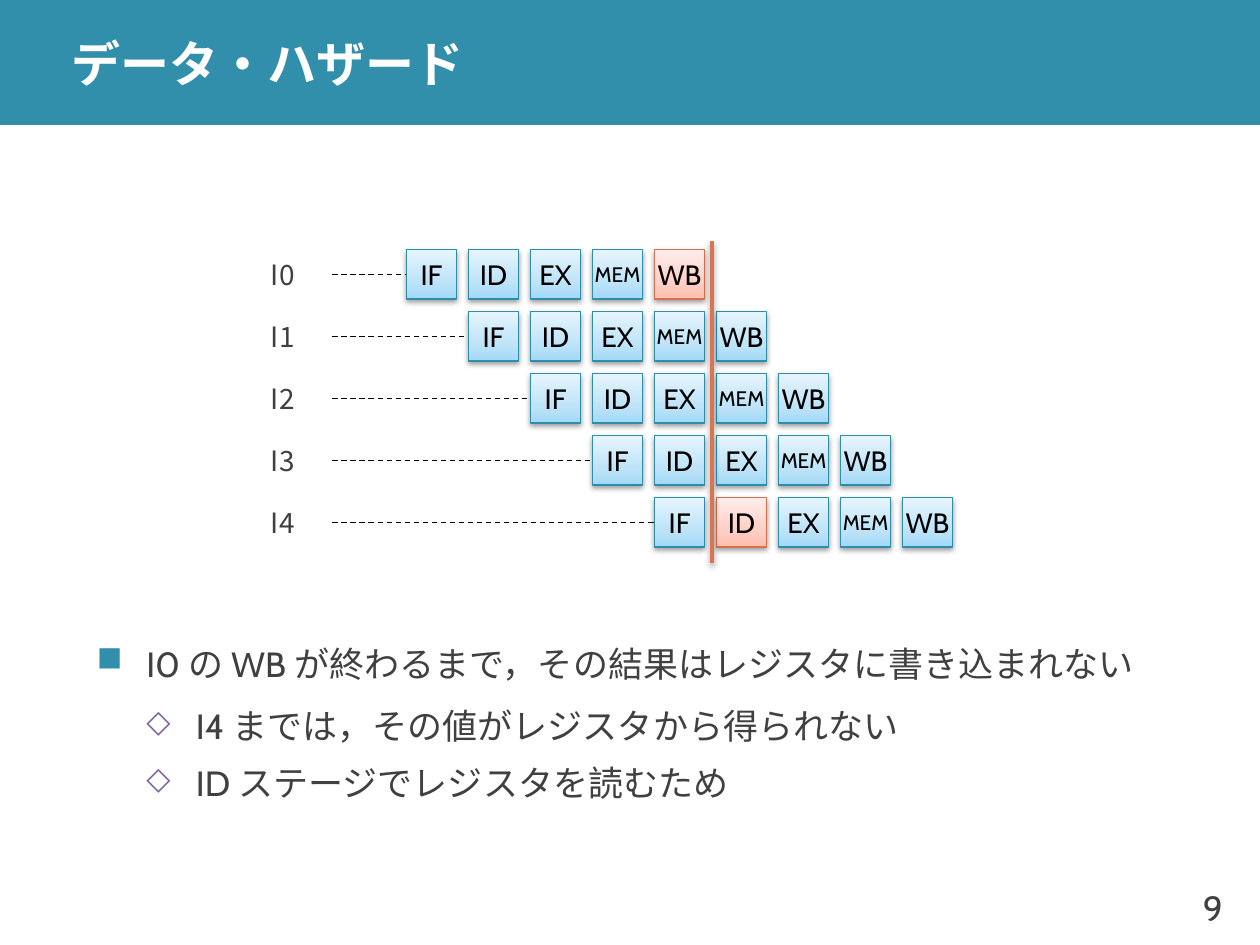
from lxml.etree import SubElement as Sub
from pptx import Presentation
from pptx.dml.color import RGBColor as RGB
from pptx.enum.dml import MSO_LINE as Dash
from pptx.enum.shapes import MSO_CONNECTOR as Link, MSO_SHAPE as Kind
from pptx.enum.text import MSO_ANCHOR as Anchor, PP_ALIGN as Align
from pptx.oxml.ns import qn
from pptx.util import Cm, Pt

TEAL = RGB(0x32, 0x8F, 0xAC)
WHITE = RGB(0xFF, 0xFF, 0xFF)
BLACK = RGB(0, 0, 0)
GREY = RGB(0x40, 0x40, 0x40)
PURPLE = RGB(0x80, 0x64, 0xA2)
RED = RGB(0xD8, 0x75, 0x52)
# Box styles: edge colour, then fill colours from bottom to top
BLUE_BOX = (RGB(0x2E, 0x8D, 0xAB), RGB(0xA2, 0xD9, 0xF7),
            RGB(0xBF, 0xE4, 0xF8), RGB(0xE6, 0xF5, 0xFD))
RED_BOX = (RGB(0xD7, 0x71, 0x4D), RGB(0xFF, 0xBE, 0xB0),
           RGB(0xFF, 0xD0, 0xC7), RGB(0xFF, 0xED, 0xEA))

LATIN, CJK = "Cabin", "Noto Sans CJK JP"
STAGES = ("IF", "ID", "EX", "MEM", "WB")
ROWS = 5
HAZARD = {(0, "WB"), (4, "ID")}
NOTES = (
    (0, "I0 の WB が終わるまで，その結果はレジスタに書き込まれない"),
    (1, "I4 までは，その値がレジスタから得られない"),
    (1, "ID ステージでレジスタを読むため"),
)
# Level formats: indent (cm), space before and after (pt), bullet, colour, size %
LEVELS = ((1, 24, 6, "■", TEAL, 100), (2, 3, 3, "◇", PURPLE, 90))


def write(para, text, size=20, font=LATIN, color=GREY, bold=False, align=None):
    """Add formatted text to a paragraph."""
    run = para.add_run()
    run.text = text
    run.font.size, run.font.bold, run.font.name = Pt(size), bold, font
    run.font.color.rgb = color
    Sub(run.font._element, qn("a:ea"), typeface=font)
    para.alignment = align


def set_frame(shape, wrap=False, pads=(0, 0)):
    """Centre the text vertically and set side and top/bottom margins."""
    frame = shape.text_frame
    frame.word_wrap, frame.vertical_anchor = wrap, Anchor.MIDDLE
    frame.margin_left = frame.margin_right = Cm(pads[0])
    frame.margin_top = frame.margin_bottom = Cm(pads[1])
    return frame


def add_text(slide, box, wrap=False, pads=(0, 0)):
    shape = slide.shapes.add_textbox(*map(Cm, box))
    return set_frame(shape, wrap, pads)


def set_shadow(shape, soft=True):
    """Give a soft shadow below, or none at all."""
    effects = Sub(shape._element.spPr, qn("a:effectLst"))
    if soft:
        outer = Sub(effects, qn("a:outerShdw"), blurRad="40000", dist="20000",
                    dir="5400000", rotWithShape="0")
        color = Sub(outer, qn("a:srgbClr"), val="000000")
        Sub(color, qn("a:alpha"), val="38000")


def add_line(slide, ends, color, width, dash=None, soft=False):
    line = slide.shapes.add_connector(Link.STRAIGHT, *map(Cm, ends))
    line.line.color.rgb, line.line.width = color, Pt(width)
    if dash:
        line.line.dash_style = dash
    set_shadow(line, soft)


def add_stage(slide, box, name, style):
    """Draw one pipeline stage as a shaded square."""
    shape = slide.shapes.add_shape(Kind.RECTANGLE, *map(Cm, box))
    edge, *shades = style
    shape.fill.gradient()
    shape.fill.gradient_angle = 90
    stops = shape._element.spPr.find(qn("a:gradFill")).find(qn("a:gsLst"))
    for old in list(stops):
        stops.remove(old)
    for pos, shade in zip((0, 35, 100), shades):
        stop = Sub(stops, qn("a:gs"), pos=str(pos * 1000))
        Sub(stop, qn("a:srgbClr"), val=str(shade))
    shape.line.color.rgb, shape.line.width = edge, Pt(0.75)
    set_shadow(shape)
    frame = set_frame(shape, pads=(0.25, 0.13))
    write(frame.paragraphs[0], name, size=12 if name == "MEM" else 16,
          color=BLACK, align=Align.CENTER)


def add_header(slide, box):
    left, top, width, height = box
    band = slide.shapes.add_shape(Kind.RECTANGLE, *map(Cm, box))
    band.fill.solid()
    band.fill.fore_color.rgb = TEAL
    band.line.fill.background()
    band.shadow.inherit = False
    frame = add_text(slide, (left + 1.2, top, width - 1.2, height),
                     wrap=True, pads=(0.25, 0))
    write(frame.paragraphs[0], "データ・ハザード", size=28, color=WHITE, bold=True)


def add_pipeline(slide, box):
    """Draw the instructions as rows, each one step later than the last."""
    left, top, width, height = box
    side, step, label, start = 1, 1.25, 2, 3.5
    for row in range(ROWS):
        y = top + row * step
        first = left + start + row * step
        frame = add_text(slide, (left, y, label, side))
        write(frame.paragraphs[0], f"I{row}", size=16, font=CJK,
              align=Align.CENTER)
        # The leads of the first rows run under their first box
        reach = first + max(0, 0.5 - 0.25 * row)
        mid = y + side / 2
        add_line(slide, (left + label, mid, reach, mid), BLACK, 0.75, Dash.DASH)
        for col, name in enumerate(STAGES):
            style = RED_BOX if (row, name) in HAZARD else BLUE_BOX
            add_stage(slide, (first + col * step, y, side, side), name, style)
    # Time at which the first result is written
    x = left + start + len(STAGES) * step - 0.1
    add_line(slide, (x, top - 0.18, x, top + height + 0.32), RED, 2, soft=True)


def add_notes(slide, box):
    frame = add_text(slide, box, wrap=True, pads=(0.25, 0.13))
    for num, (level, text) in enumerate(NOTES):
        para = frame.add_paragraph() if num else frame.paragraphs[0]
        indent, before, after, mark, color, size = LEVELS[level]
        para.level, para.line_spacing = level, 1.1
        para.space_before, para.space_after = Pt(before), Pt(after)
        write(para, text)
        props = para._p.get_or_add_pPr()
        props.set("marL", str(Cm(indent)))
        props.set("indent", str(-Cm(1)))
        Sub(Sub(props, qn("a:buClr")), qn("a:srgbClr"), val=str(color))
        Sub(props, qn("a:buSzPct"), val=str(size * 1000))
        Sub(props, qn("a:buChar"), char=mark)


def add_number(slide, box):
    frame = add_text(slide, box, pads=(0.25, 0.13))
    write(frame.paragraphs[0], "9", align=Align.RIGHT)


def main():
    deck = Presentation()
    deck.slide_width, deck.slide_height = Cm(25.4), Cm(19.05)
    slide = deck.slides.add_slide(deck.slide_layouts[6])
    add_header(slide, (0, 0, 25.4, 2.52))
    add_pipeline(slide, (4.7, 5.03, 14.5, 6))
    add_notes(slide, (1.7, 11.53, 23, 6))
    add_number(slide, (23.2, 17.53, 1.7, 1.52))
    deck.save("out.pptx")


if __name__ == "__main__":
    main()
